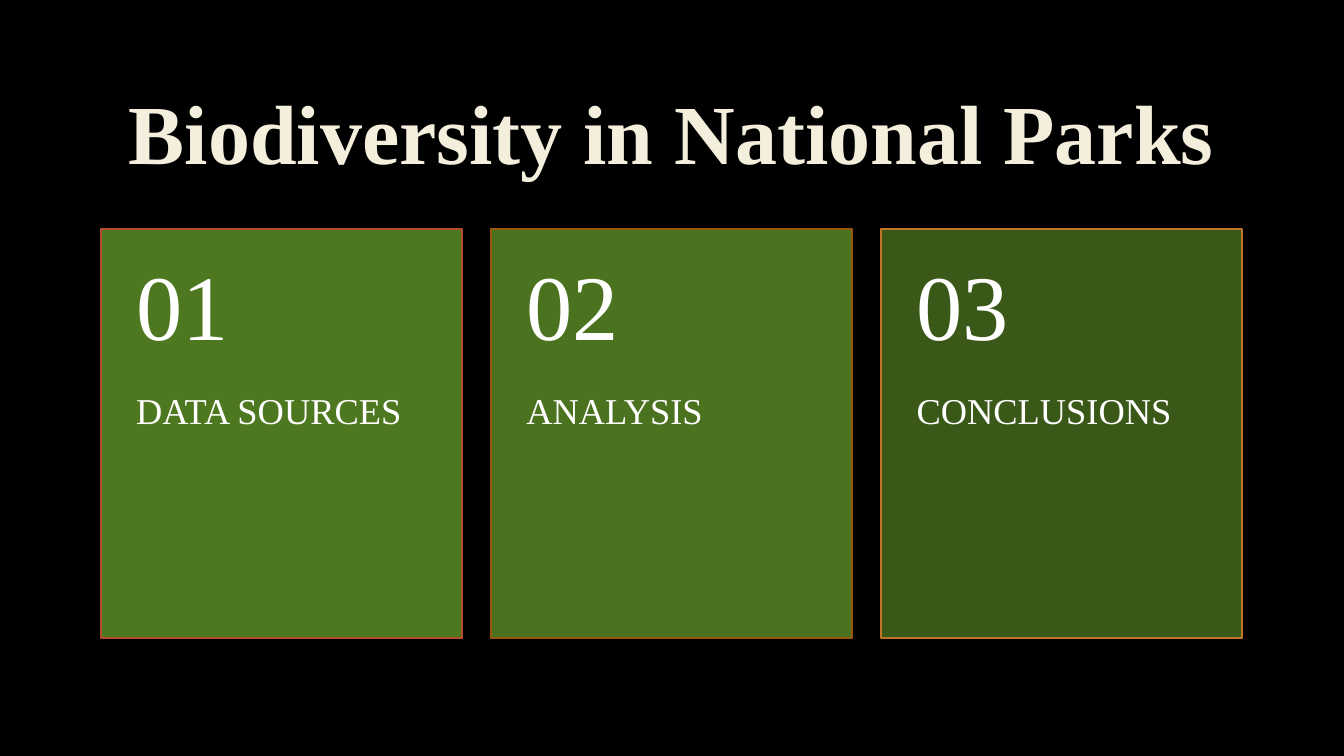
from dataclasses import dataclass
from lxml.etree import SubElement
from pptx import Presentation
from pptx.dml.color import RGBColor
from pptx.enum.shapes import MSO_SHAPE
from pptx.enum.text import MSO_ANCHOR, PP_ALIGN
from pptx.oxml import parse_xml
from pptx.oxml.ns import nsdecls, qn
from pptx.util import Inches, Pt


@dataclass(frozen=True)
class Theme:
    font: str = "Times New Roman"
    back: str = "000000"
    cream: str = "F4EEDC"
    edge: str = "404040"
    green: str = "659A2A"
    white: str = "FFFFFF"
    red: str = "B54C2D"
    brown: str = "99570C"
    orange: str = "C17529"
    title: int = 60
    number: int = 66
    label: int = 26


class Deck:
    def __init__(self, slide, theme):
        self.slide = slide
        self.theme = theme
        fill = slide.background.fill
        fill.solid()
        fill.fore_color.rgb = RGBColor.from_string(theme.back)
        self.group = None

    def text(self, home, box, words, size, color, pads=(0.1, 0.05, 0.1, 0.05),
             anchor=MSO_ANCHOR.MIDDLE, align=PP_ALIGN.LEFT, bold=False):
        frame = home.add_textbox(*map(Inches, box)).text_frame
        frame.word_wrap = True
        frame.vertical_anchor = anchor
        (frame.margin_left, frame.margin_top,
         frame.margin_right, frame.margin_bottom) = map(Inches, pads)
        para = frame.paragraphs[0]
        para.alignment = align
        para.line_spacing = 0.9
        run = para.add_run()
        run.text = words
        run.font.name = self.theme.font
        run.font.size = Pt(size)
        run.font.bold = bold
        run.font.color.rgb = RGBColor.from_string(color)
        return run

    def title(self, words):
        look = self.theme
        run = self.text(self.slide.shapes, (1, 0.67, 11.32, 1.38), words,
                        look.title, look.cream, align=PP_ALIGN.CENTER, bold=True)
        run.font._element.insert(0, parse_xml(
            f'<a:ln {nsdecls("a")} w="{Pt(0.75)}"><a:solidFill>'
            f'<a:srgbClr val="{look.edge}"><a:alpha val="10000"/></a:srgbClr>'
            '</a:solidFill></a:ln>'))

    def panel(self, box, line, alpha):
        shape = self.group.add_shape(MSO_SHAPE.RECTANGLE, *map(Inches, box))
        shape.shadow.inherit = False
        shape.fill.solid()
        shape.fill.fore_color.rgb = RGBColor.from_string(self.theme.green)
        color = shape.fill._xPr.find(qn("a:solidFill"))[0]
        SubElement(color, qn("a:alpha"), val=str(alpha * 1000))
        shape.line.color.rgb = RGBColor.from_string(line)
        shape.line.width = Pt(1.25)

    def card(self, left, number, label, line, alpha):
        look = self.theme
        top, width = 2.27, 3.58
        self.panel((left, top, width, 4.06), line, alpha)
        self.text(self.group, (left, 3.9, width, 2.44), label, look.label,
                  look.white, (0.35, 0, 0.35, 0.36), MSO_ANCHOR.TOP)
        self.text(self.group, (left, top, width, 1.62), number, look.number,
                  look.white, (0.35, 0.18, 0.35, 0.18))


def main():
    show = Presentation()
    show.slide_width, show.slide_height = Inches(13.33), Inches(7.5)
    theme = Theme()
    deck = Deck(show.slides.add_slide(show.slide_layouts[6]), theme)
    deck.title("Biodiversity in National Parks")
    deck.group = deck.slide.shapes.add_group_shape().shapes
    cards = (("DATA SOURCES", theme.red, 78),
             ("ANALYSIS", theme.brown, 75),
             ("CONCLUSIONS", theme.orange, 58))
    for index, (label, line, alpha) in enumerate(cards):
        deck.card(1 + index * 3.87, f"{index + 1:02}", label, line, alpha)
    show.save("out.pptx")


if __name__ == "__main__":
    main()
